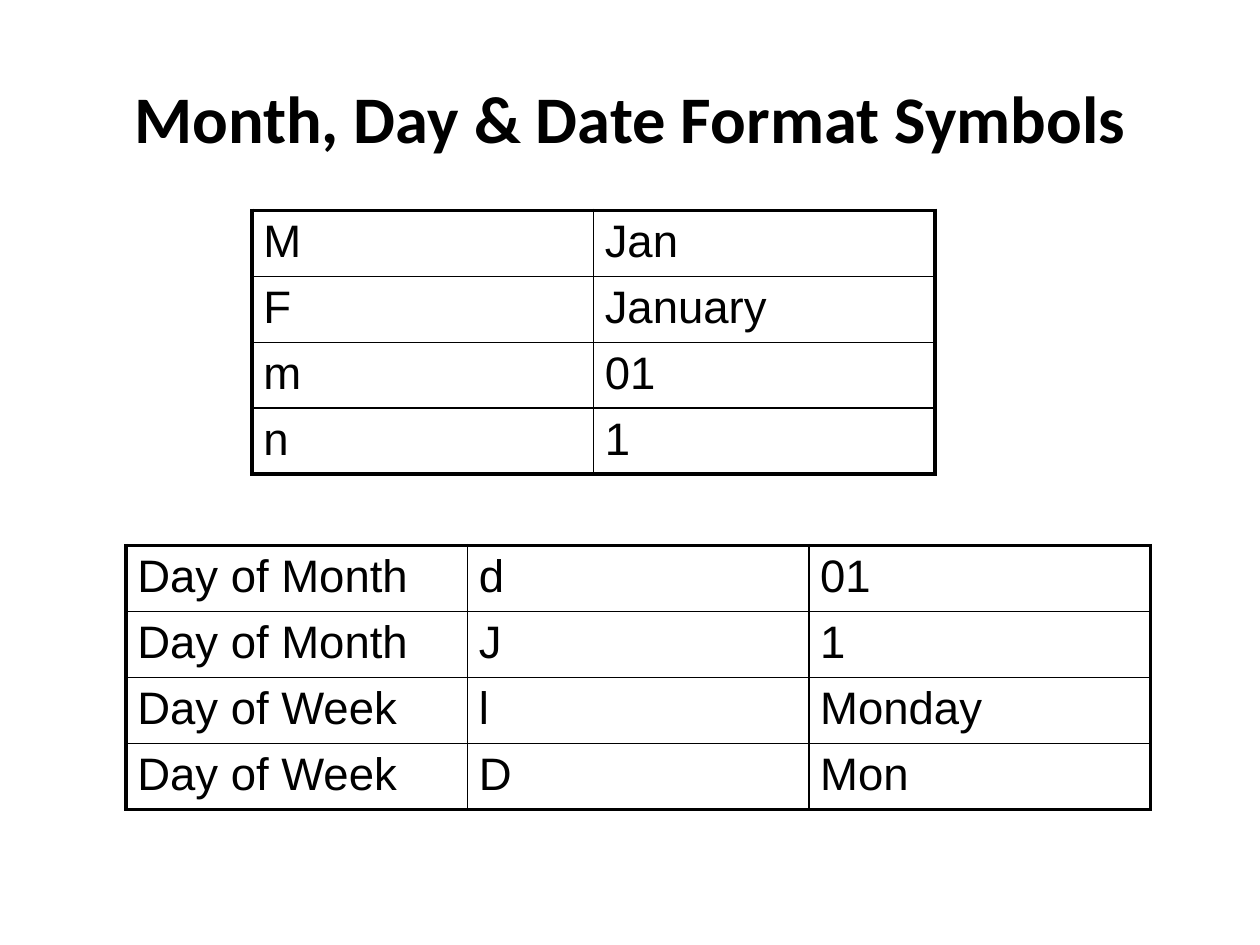
"""Builds the slide of month, day and date format symbols."""
import pptx
import pptx.dml.color
import pptx.enum.text
import pptx.oxml.ns
import pptx.util
from lxml import etree

Inches, Pt = pptx.util.Inches, pptx.util.Pt
BLACK = pptx.dml.color.RGBColor(0, 0, 0)
THICK, THIN = Pt(2.25), Pt(1)
WIDE, HIGH = 2.71, 0.5

TITLE = "Month, Day & Date Format Symbols"
MONTHS = [("M", "Jan"), ("F", "January"), ("m", "01"), ("n", "1")]
DAYS = [
    ("Day of Month", "d", "01"),
    ("Day of Month", "J", "1"),
    ("Day of Week", "l", "Monday"),
    ("Day of Week", "D", "Mon"),
]
TABLES = [(2, 1.67, MONTHS), (1, 4.33, DAYS)]


def style(para, face, size, bold=False):
    font = para.runs[0].font
    font.name, font.size, font.bold = face, Pt(size), bold
    font.color.rgb = BLACK


def border(cell, side, width):
    qn = pptx.oxml.ns.qn
    props = cell._tc.get_or_add_tcPr()
    line = etree.SubElement(props, qn("a:ln" + side), w=str(width))
    fill = etree.SubElement(line, qn("a:solidFill"))
    etree.SubElement(fill, qn("a:srgbClr"), val=str(BLACK))


def add_grid(slide, left, top, rows):
    high, wide = len(rows), len(rows[0])
    table = slide.shapes.add_table(
        high, wide, Inches(left), Inches(top),
        Inches(WIDE * wide), Inches(HIGH * high)).table
    table.first_row = table.horz_banding = False
    for r, row in enumerate(rows):
        for c, text in enumerate(row):
            cell = table.cell(r, c)
            cell.margin_left = cell.margin_right = Inches(0.09)
            cell.margin_top = cell.margin_bottom = Inches(0.045)
            cell.text_frame.text = text
            style(cell.text_frame.paragraphs[0], "Arial", 26)
            edges = {"L": c == 0, "R": c == wide - 1,
                     "T": r == 0, "B": r == high - 1}
            for side, outer in edges.items():
                border(cell, side, THICK if outer else THIN)
            cell.fill.background()


deck = pptx.Presentation()
deck.slide_width, deck.slide_height = Inches(10), Inches(7.5)
slide = deck.slides.add_slide(deck.slide_layouts[6])

frame = slide.shapes.add_textbox(
    Inches(0.5), Inches(0.3), Inches(9), Inches(1.25)).text_frame
frame.word_wrap = True
frame.vertical_anchor = pptx.enum.text.MSO_ANCHOR.MIDDLE
frame.text = TITLE
frame.paragraphs[0].alignment = pptx.enum.text.PP_ALIGN.CENTER
style(frame.paragraphs[0], "Calibri", 38, True)

for left, top, rows in TABLES:
    add_grid(slide, left, top, rows)

deck.save("out.pptx")
